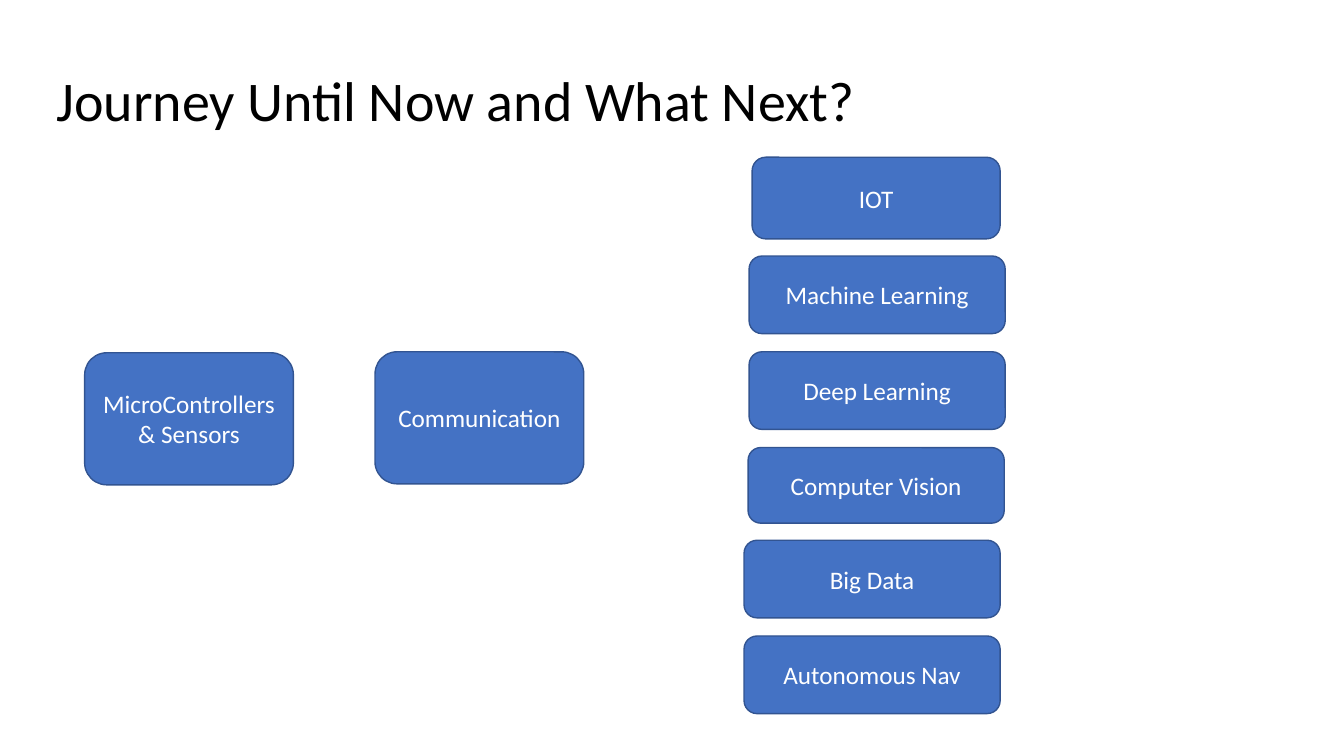
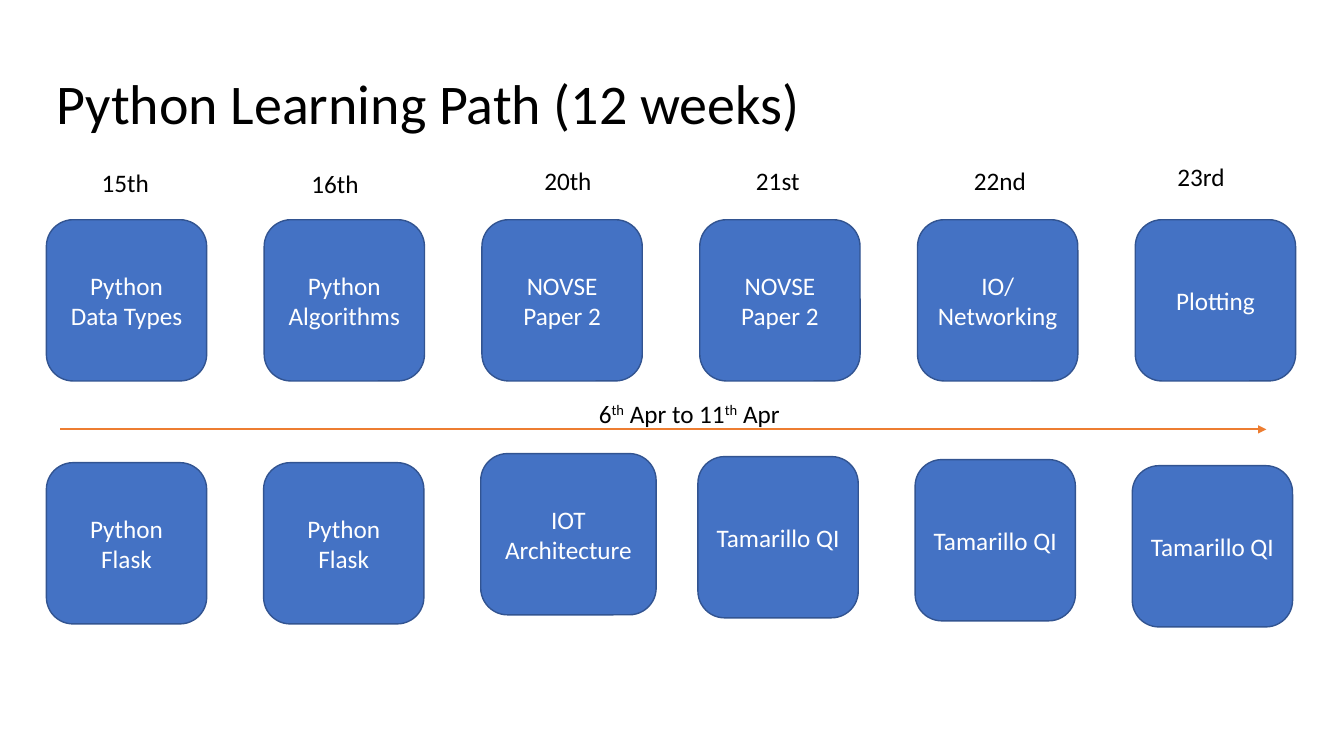
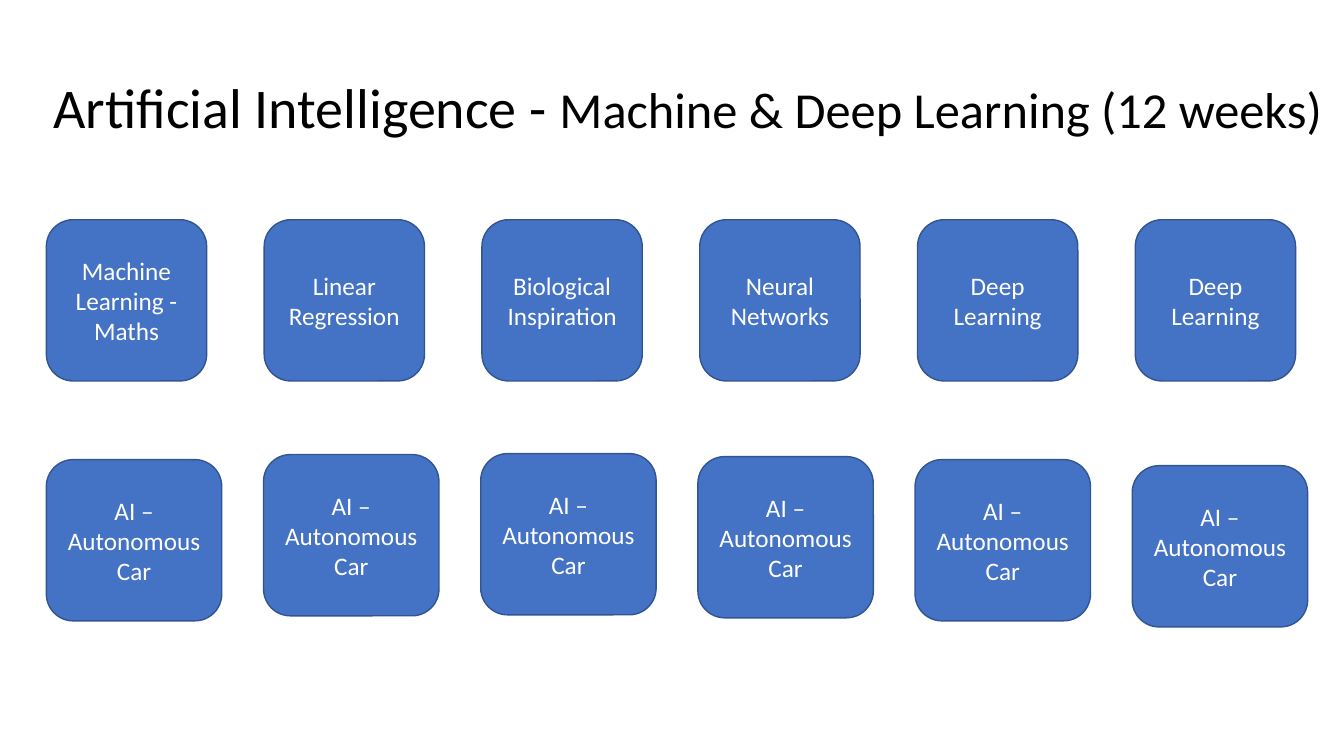
from dataclasses import dataclass

from lxml.etree import SubElement
from pptx import Presentation
from pptx.dml.color import RGBColor
from pptx.enum.shapes import MSO_CONNECTOR, MSO_SHAPE
from pptx.enum.text import MSO_ANCHOR, MSO_AUTO_SIZE, PP_ALIGN
from pptx.oxml.ns import qn
from pptx.util import Inches, Pt


# Shared style
@dataclass(frozen=True)
class Theme:
    font: str = "Calibri"
    back: str = "FFFFFF"
    ink: str = "000000"
    fill: str = "4472C4"
    edge: str = "325491"
    pale: str = "FFFFFF"
    arrow: str = "ED7D31"
    head: int = 40
    sub: int = 36
    body: int = 18


THEME = Theme()


def color(code):
    return RGBColor.from_string(code)


def write(frame, text, size=THEME.body, ink=THEME.ink, align=PP_ALIGN.LEFT,
          anchor=MSO_ANCHOR.TOP, wrap=False, fit=MSO_AUTO_SIZE.SHAPE_TO_FIT_TEXT):
    """Text is a string or a list of (string, size, raised) parts."""
    frame.word_wrap = wrap
    frame.auto_size = fit
    frame.vertical_anchor = anchor
    para = frame.paragraphs[0]
    para.alignment = align
    parts = [(text, size, False)] if isinstance(text, str) else text
    for words, points, raised in parts:
        run = para.add_run()
        run.text = words
        run.font.name = THEME.font
        run.font.size = Pt(points)
        run.font.color.rgb = color(ink)
        if raised:
            run._r.get_or_add_rPr().set("baseline", "30000")


class Deck:
    def __init__(self, theme):
        self.theme = theme
        self.file = Presentation()
        self.file.slide_width = Inches(13.33)
        self.file.slide_height = Inches(7.5)
        self.slide = None

    def page(self, title, left, top, width):
        self.slide = self.file.slides.add_slide(self.file.slide_layouts[5])
        back = self.slide.background.fill
        back.solid()
        back.fore_color.rgb = color(self.theme.back)
        head = self.slide.shapes.title
        head.left, head.top = Inches(left), Inches(top)
        head.width, head.height = Inches(width), Inches(0.77)
        write(head.text_frame, title, size=self.theme.head)

    def box(self, text, left, top, width, height):
        box = self.slide.shapes.add_shape(
            MSO_SHAPE.ROUNDED_RECTANGLE,
            Inches(left), Inches(top), Inches(width), Inches(height))
        box.shadow.inherit = False
        box.fill.solid()
        box.fill.fore_color.rgb = color(self.theme.fill)
        box.line.color.rgb = color(self.theme.edge)
        box.line.width = Pt(1)
        write(box.text_frame, text, ink=self.theme.pale, align=PP_ALIGN.CENTER,
              anchor=MSO_ANCHOR.MIDDLE, wrap=True, fit=MSO_AUTO_SIZE.NONE)

    def label(self, text, left, top, width):
        box = self.slide.shapes.add_textbox(
            Inches(left), Inches(top), Inches(width), Inches(0.4))
        write(box.text_frame, text)

    def arrow(self, left, right, top):
        line = self.slide.shapes.add_connector(
            MSO_CONNECTOR.STRAIGHT,
            Inches(left), Inches(top), Inches(right), Inches(top))
        line.line.color.rgb = color(self.theme.arrow)
        line.line.width = Pt(1.5)
        SubElement(line.line._get_or_add_ln(), qn("a:tailEnd"), type="triangle")
        SubElement(line._element.spPr, qn("a:effectLst"))

    def upper(self, names):
        for i, name in enumerate(names):
            self.box(name, 0.46 + 2.16 * i, 2.18, 1.59, 1.6)

    def lower(self, cards):
        for i, (name, top, width) in enumerate(cards):
            self.box(name, 0.46 + 2.154 * i, top, width, 1.6)


deck = Deck(THEME)

# Journey: two steps, then the topics ahead
deck.page("Journey Until Now and What Next?", 0.46, 0.6, 8.2)
deck.box("MicroControllers & Sensors", 0.84, 3.5, 2.07, 1.31)
deck.box("Communication", 3.72, 3.49, 2.07, 1.31)
for name, left, top, width, height in [
    ("IOT", 7.46, 1.56, 2.46, 0.81),
    ("Machine Learning", 7.43, 2.54, 2.54, 0.77),
    ("Deep Learning", 7.43, 3.49, 2.54, 0.77),
    ("Computer Vision", 7.42, 4.44, 2.54, 0.75),
    ("Big Data", 7.38, 5.36, 2.54, 0.77),
    ("Autonomous Nav", 7.38, 6.31, 2.54, 0.77),
]:
    deck.box(name, left, top, width, height)

# Python path: dated lessons above the arrow, projects below
deck.page("Python Learning Path (12 weeks)", 0.46, 0.63, 7.64)
deck.upper(["Python Data Types", "Python Algorithms", "NOVSE Paper 2",
            "NOVSE Paper 2", "IO/Networking", "Plotting"])
deck.lower([("Python Flask", 4.59, 1.59), ("Python Flask", 4.59, 1.59),
            ("IOT Architecture", 4.5, 1.74), ("Tamarillo QI", 4.53, 1.59),
            ("Tamarillo QI", 4.56, 1.59), ("Tamarillo QI", 4.62, 1.59)])
for day, left, top, width in [
    ("15th", 0.91, 1.61, 0.68),
    ("16th", 2.99, 1.62, 0.68),
    ("20th", 5.3, 1.59, 0.68),
    ("21st", 7.4, 1.59, 0.64),
    ("22nd", 9.56, 1.59, 0.72),
    ("23rd", 11.58, 1.55, 0.68),
]:
    deck.label(day, left, top, width)
deck.arrow(0.6, 12.56, 4.26)
span = [("6", False), ("th", True), (" Apr to 11", False), ("th", True), (" Apr", False)]
deck.label([(words, THEME.body, raised) for words, raised in span], 5.84, 3.9, 2.05)

# Artificial intelligence: lessons, then the car project
deck.page([("Artificial Intelligence - ", THEME.head, False),
           ("Machine & Deep Learning (12 weeks)", THEME.sub, False)],
          0.43, 0.67, 12.91)
deck.upper(["Machine Learning - Maths", "Linear Regression", "Biological Inspiration",
            "Neural Networks", "Deep Learning", "Deep Learning"])
deck.lower([("AI – Autonomous Car", top, 1.74)
            for top in (4.56, 4.51, 4.5, 4.53, 4.56, 4.62)])

deck.file.save("out.pptx")
